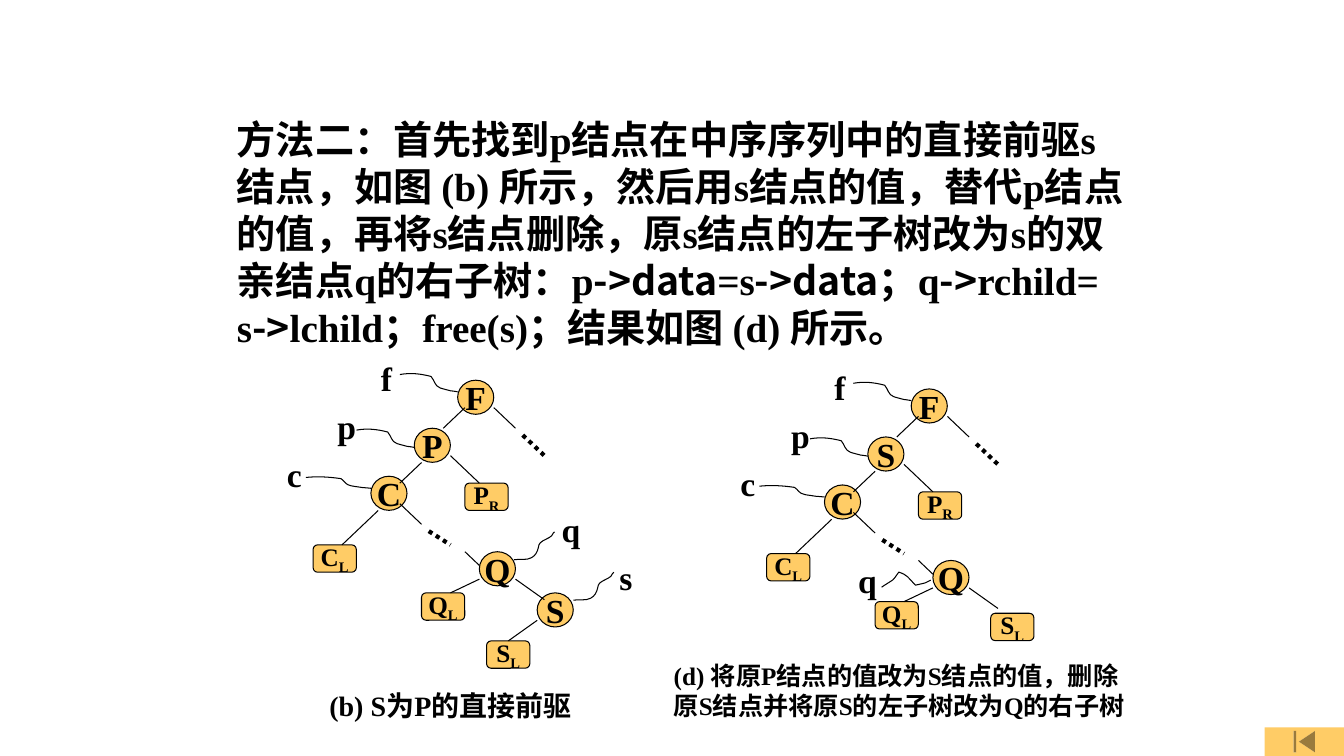
from dataclasses import dataclass
from itertools import cycle
from typing import NamedTuple

from lxml.etree import SubElement
from pptx import Presentation
from pptx.dml.color import RGBColor
from pptx.enum.dml import MSO_LINE
from pptx.enum.shapes import MSO_CONNECTOR, MSO_SHAPE
from pptx.enum.text import MSO_ANCHOR, PP_ALIGN
from pptx.oxml.ns import qn
from pptx.util import Cm, Pt


@dataclass(frozen=True)
class Theme:
    gold: RGBColor = RGBColor(0xFF, 0xCC, 0x66)
    ink: RGBColor = RGBColor(0, 0, 0)
    serif: str = "Times New Roman"
    sans: str = "Noto Sans CJK SC"
    body: int = 28
    node: int = 24
    title: int = 20
    small: int = 18
    thin: float = 0.75
    thick: float = 3
    lead: float = 1.2


class Node(NamedTuple):
    text: str
    x: float
    y: float


class Edge(NamedTuple):
    x1: float
    y1: float
    x2: float
    y2: float
    dots: bool = False


class Curve(NamedTuple):
    form: tuple
    x: float
    y: float
    w: float
    h: float


class Tree(NamedTuple):
    left: float
    top: float
    nodes: list
    boxes: list
    tags: list
    edges: list
    curves: list


LOOK = Theme()

# Grid of the tree drawings
DX = Cm(8.38) / 46
DY = Cm(7.26) / 42

# Bezier outlines of the pointers, as fractions of their frames
FALL = ((0, .1), (.18, 0), (.35, .05), (.54, .2), (.6, .4), (.6, .7), (.7, .8),
        (.75, .85), (.82, .9), (.88, .95), (.91, .95), (1, 1), (1, 1))
RISE = ((0, .97), (.15, .93), (.3, 1), (.43, .9), (.53, .83), (.58, .69),
        (.6, .55), (.63, .48), (.6, .41), (.65, .38), (.72, .28), (.85, .24),
        (.93, .14), (.95, .07), (.98, .03), (1, 0))
WAVE = ((0, 1), (.31, .33), (.2, .67), (.35, 0), (.53, .2), (.53, .33),
        (.69, .87), (.94, .67), (.84, .8), (1, .53))

# Parts found in both trees
NODES = [Node("F", 25, 4), Node("C", 13, 18), Node("Q", 28, 29)]
BOXES = [Node("PR", 26, 19), Node("CL", 5, 28), Node("QL", 20, 35)]
TAGS = [Node("f", 13, 0), Node("p", 7, 7), Node("c", 0, 14)]
EDGES = [
    Edge(26, 8, 23, 11), Edge(20, 16, 17, 19), Edge(14, 23, 9, 28),
    Edge(30, 8, 33, 11), Edge(24, 15, 28, 19), Edge(17, 22, 20, 25),
    Edge(26, 29, 28, 31), Edge(28, 33, 24, 35), Edge(33, 33, 37, 36),
    Edge(21, 26, 24, 28, True), Edge(34, 12, 37, 15, True),
]
CURVES = [Curve(FALL, 17, 2.9, 8, 2.8), Curve(FALL, 11, 11, 8, 2.8),
          Curve(FALL, 4, 18, 9, 1.75)]

TREES = [
    Tree(6.98, 8.89,
         NODES + [Node("P", 19, 11), Node("S", 36, 35)],
         BOXES + [Node("SL", 29, 42)],
         TAGS + [Node("q", 38, 22), Node("s", 46, 29)],
         EDGES + [Edge(36, 39, 32, 42)],
         CURVES + [Curve(RISE, 32.8, 26.1, 5.6, 4.2), Curve(RISE, 41, 32, 5.6, 4.2)]),
    Tree(18.41, 9.11,
         NODES + [Node("S", 19, 11)],
         BOXES + [Node("SL", 36, 36.7)],
         TAGS + [Node("q", 16.3, 28.2)],
         EDGES,
         CURVES + [Curve(WAVE, 20.9, 30.7, 6.8, 2.2)]),
]

# Body text: serif and sans pieces take turns
BODY = ("方法二：|首先找到|p|结点在中序序列中的直接前驱|s|结点，如图 |(b) |所示，然后用|s|"
        "结点的值，替代|p|结点的值，再将|s|结点删除，原|s|结点的左子树改为|s|的双亲结点|q|"
        "的右子树：|p|->data|=s|->data；|q|->|rchild= s|->|lchild|；|free(s)|"
        "；结果如图 |(d) |所示。")


def apply(item, form: dict) -> None:
    for key, value in form.items():
        setattr(item, key, value)


def write(para, text: str, size: int, face: str = LOOK.serif, base: int = 0) -> None:
    run = para.add_run()
    run.text = text
    apply(run.font, {"size": Pt(size), "bold": True, "name": face})
    run.font.color.rgb = LOOK.ink
    props = run._r.get_or_add_rPr()
    SubElement(props, qn("a:ea")).set("typeface", LOOK.sans)
    if base:
        props.set("baseline", str(base))


def stroke(line, dots: bool = False) -> None:
    line.color.rgb = LOOK.ink
    line.width = Pt(LOOK.thick if dots else LOOK.thin)
    if dots:
        line.dash_style = MSO_LINE.ROUND_DOT


def note(shapes, x: int, y: int, w: int, h: int):
    frame = shapes.add_textbox(x, y, w, h).text_frame
    frame.word_wrap = True
    return frame.paragraphs[0]


def block(shapes, kind, x: int, y: int, w: int, h: int):
    shape = shapes.add_shape(kind, x, y, w, h)
    shape.shadow.inherit = False
    shape.fill.solid()
    shape.fill.fore_color.rgb = LOOK.gold
    return shape


def cell(shapes, kind, x: int, y: int, w: int, h: int):
    shape = block(shapes, kind, x, y, w, h)
    stroke(shape.line)
    apply(shape.text_frame, {"word_wrap": False, "vertical_anchor": MSO_ANCHOR.MIDDLE})
    para = shape.text_frame.paragraphs[0]
    para.alignment = PP_ALIGN.CENTER
    return para


def bend(shape) -> None:
    """Turn each three straight segments into one Bezier segment."""
    track = next(shape._element.iter(qn("a:path")))
    legs = track.findall(qn("a:lnTo"))
    for at in range(0, len(legs), 3):
        arc = SubElement(track, qn("a:cubicBezTo"))
        for leg in legs[at:at + 3]:
            arc.append(leg[0])
            track.remove(leg)


def draw(shapes, tree: Tree) -> None:
    def spot(x: float, y: float) -> tuple:
        return int(Cm(tree.left) + x * DX), int(Cm(tree.top) + y * DY)

    # Circles and subtree boxes
    for node in tree.nodes:
        para = cell(shapes, MSO_SHAPE.OVAL, *spot(node.x, node.y), Cm(0.91), Cm(0.86))
        write(para, node.text, LOOK.node)
    for node in tree.boxes:
        para = cell(shapes, MSO_SHAPE.ROUNDED_RECTANGLE, *spot(node.x, node.y),
                    Cm(1.09), Cm(0.69))
        write(para, node.text[0], LOOK.small)
        write(para, node.text[1], LOOK.small, base=-25000)

    # Edges and pointers
    for edge in tree.edges:
        line = shapes.add_connector(MSO_CONNECTOR.STRAIGHT, *spot(edge.x1, edge.y1),
                                    *spot(edge.x2, edge.y2))
        stroke(line.line, edge.dots)
        SubElement(line._element.spPr, qn("a:effectLst"))
    for curve in tree.curves:
        dots = [spot(curve.x + fx * curve.w, curve.y + fy * curve.h)
                for fx, fy in curve.form]
        pen = shapes.build_freeform(*dots[0])
        pen.add_line_segments(dots[1:], close=False)
        shape = pen.convert_to_shape()
        bend(shape)
        shape.shadow.inherit = False
        shape.fill.background()
        stroke(shape.line)

    # Pointer names
    for tag in tree.tags:
        para = note(shapes, *spot(tag.x, tag.y), Cm(0.74), Cm(1.28))
        write(para, tag.text, LOOK.node)


def main() -> None:
    deck = Presentation()
    apply(deck, {"slide_width": Cm(33.87), "slide_height": Cm(19.05)})
    shapes = deck.slides.add_slide(deck.slide_layouts[6]).shapes

    # Return button
    button = block(shapes, MSO_SHAPE.ACTION_BUTTON_BEGINNING,
                   Cm(31.87), Cm(18.33), Cm(2), Cm(0.72))
    button.line.fill.background()

    # Explanation
    para = note(shapes, Cm(5.72), Cm(2.77), Cm(23.06), Cm(6.2))
    para.line_spacing = Pt(LOOK.body * LOOK.lead)
    for text, face in zip(BODY.split("|"), cycle((LOOK.serif, LOOK.sans))):
        write(para, text, LOOK.body, face)

    # Trees and captions
    for tree in TREES:
        draw(shapes, tree)
    for text, size, x, y, w, h in (
            ("(b) S为P的直接前驱", LOOK.title, 8.05, 17.23, 7.62, 1.09),
            ("(d) 将原P结点的值改为S结点的值，删除原S结点并将原S的左子树改为Q的右子树",
             LOOK.small, 16.73, 16.51, 12.27, 1.78)):
        para = note(shapes, Cm(x), Cm(y), Cm(w), Cm(h))
        para.line_spacing = Pt(size * LOOK.lead)
        write(para, text, size)

    deck.save("out.pptx")


if __name__ == "__main__":
    main()
